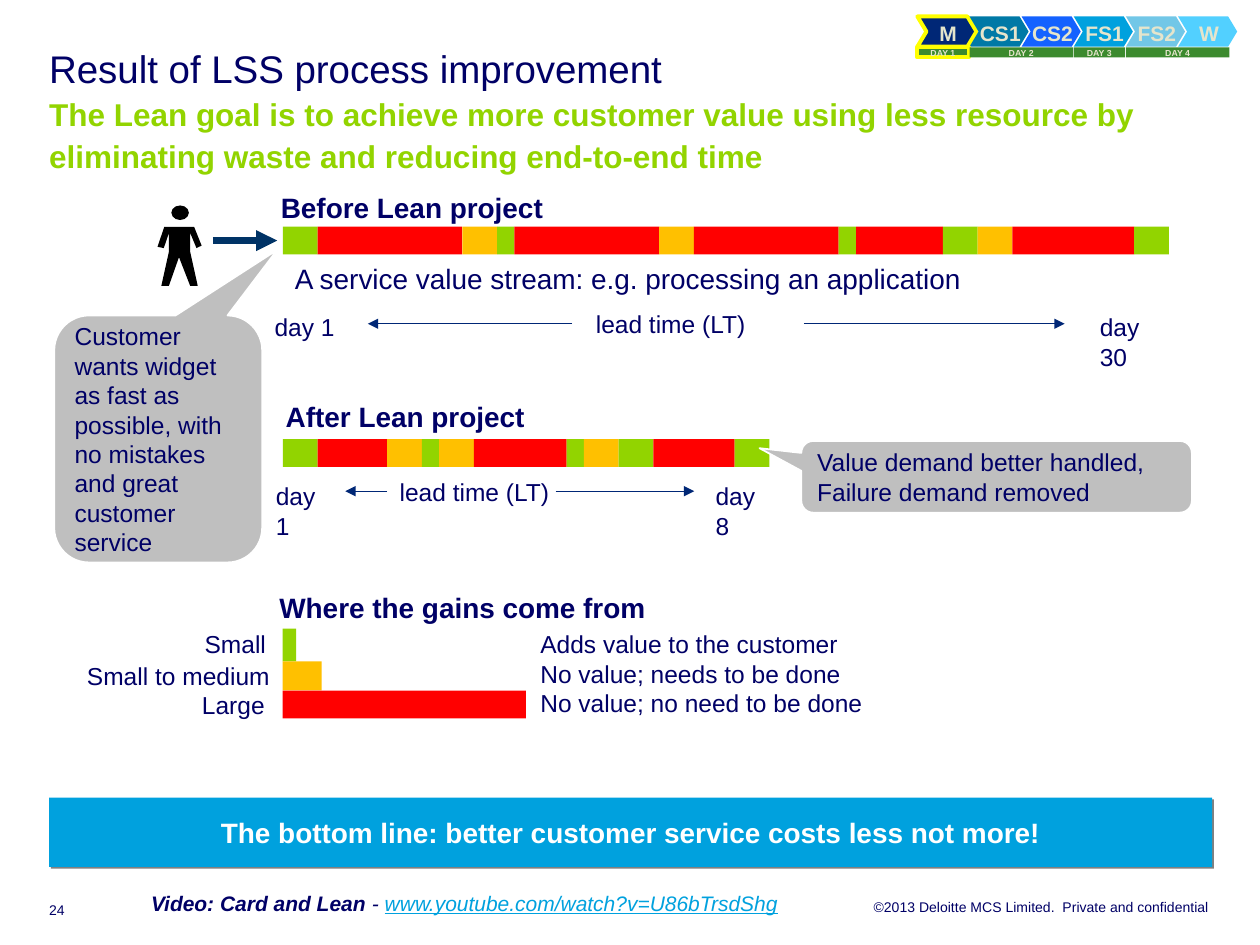
"""Build the slide on the result of an LSS process improvement."""
from lxml import etree
from pptx import Presentation
from pptx import util as u
from pptx.dml.color import RGBColor
from pptx.enum import shapes, text
from pptx.oxml import parse_xml
from pptx.oxml.ns import nsdecls, qn

Pt = u.Pt
SHAPE = shapes.MSO_SHAPE
LEFT, CENTER, RIGHT = text.PP_ALIGN.LEFT, text.PP_ALIGN.CENTER, text.PP_ALIGN.RIGHT
TOP, MIDDLE, BOTTOM = text.MSO_ANCHOR.TOP, text.MSO_ANCHOR.MIDDLE, text.MSO_ANCHOR.BOTTOM
NAVY = RGBColor(0x00, 0x00, 0x66)
DEEP = RGBColor(0x00, 0x27, 0x76)
STEEL = RGBColor(0x00, 0x33, 0x66)
TEAL = RGBColor(0x00, 0x79, 0xA6)
BLUE = RGBColor(0x14, 0x62, 0xFF)
CYAN = RGBColor(0x00, 0xA1, 0xDE)
PALE = RGBColor(0x72, 0xC7, 0xE7)
SKY = RGBColor(0x52, 0xD0, 0xFF)
CREAM = RGBColor(0xE5, 0xE5, 0xCC)
FOREST = RGBColor(0x3C, 0x8A, 0x2E)
LIME = RGBColor(0x92, 0xD4, 0x00)
AMBER = RGBColor(0xFF, 0xC0, 0x00)
RED = RGBColor(0xFF, 0x00, 0x00)
YELLOW = RGBColor(0xFF, 0xFF, 0x00)
GREY = RGBColor(0xBF, 0xBF, 0xBF)
WHITE = RGBColor(0xFF, 0xFF, 0xFF)
BLACK = RGBColor(0x00, 0x00, 0x00)

prs = Presentation()
prs.slide_width, prs.slide_height = Pt(720), Pt(540)
s = prs.slides.add_slide(prs.slide_layouts[6])


def box(words, x, y, w, h, shape=None, adj=(), fill=None, line=None, weight=0.5,
        size=14, color=NAVY, bold=False, align=LEFT, anchor=TOP,
        ins=(7.2, 3.6, 7.2, 3.6), wrap=True, spacing=None):
    place = [Pt(v) for v in (x, y, w, h)]
    if shape is None:
        sp = s.shapes.add_textbox(*place)
    else:
        sp = s.shapes.add_shape(shape, *place)
        sp.shadow.inherit = False
        for i, value in enumerate(adj):
            sp.adjustments[i] = value
        sp.fill.solid()
        sp.fill.fore_color.rgb = fill
        if line is None:
            sp.line.fill.background()
        else:
            sp.line.color.rgb = line
            sp.line.width = Pt(weight)
    if not words:
        return sp
    tf = sp.text_frame
    tf.word_wrap = wrap
    tf.vertical_anchor = anchor
    tf.margin_left, tf.margin_top, tf.margin_right, tf.margin_bottom = map(Pt, ins)
    tf.text = words
    for p in tf.paragraphs:
        p.alignment = align
        p.line_spacing = spacing
        for r in p.runs:
            r.font.name, r.font.size, r.font.bold = "Arial", Pt(size), bold
            r.font.color.rgb = color
    return sp


def arrow(x1, x2, y, color=DEEP, weight=0.5):
    cn = s.shapes.add_connector(shapes.MSO_CONNECTOR.STRAIGHT, Pt(x1), Pt(y), Pt(x2), Pt(y))
    cn.line.color.rgb = color
    cn.line.width = Pt(weight)
    etree.SubElement(cn.line._get_or_add_ln(), qn("a:tailEnd"), type="triangle")
    etree.SubElement(cn._element.spPr, qn("a:effectLst"))
    return cn


box("©2013 Deloitte MCS Limited.  Private and confidential", 244.8, 513.4, 446.2, 10,
    size=8, align=RIGHT, ins=(0, 0, 0, 0))

steps = [("M", DEEP), ("CS1", TEAL), ("CS2", BLUE), ("FS1", CYAN), ("FS2", PALE), ("W", SKY)]
for i, (label, fill) in enumerate(steps):
    box(label, 524.2 + 29.8 * i, 9.4, 33.8, 17.3, SHAPE.CHEVRON, [0.3], fill,
        YELLOW if i == 0 else None, 2.25, size=12, color=CREAM, bold=True, align=CENTER,
        anchor=MIDDLE, ins=(5.8, 4.3, 4.3, 4.3), wrap=False, spacing=1.1)
for i, (start, span) in enumerate([(0, 1), (1, 2), (3, 1), (4, 2)]):
    box(f"DAY {i + 1}", 524.2 + 29.8 * start, 27, 29.8 * span - 0.5, 5.8, SHAPE.RECTANGLE,
        (), FOREST, YELLOW if i == 0 else None, 2.25, size=5, color=CREAM, bold=True,
        align=CENTER, ins=(2.9, 0, 2.9, 0))

box("", 28.1, 107.3, 664.6, 388.8, SHAPE.RECTANGLE, fill=WHITE, line=WHITE, weight=0.75)
sp = box("The bottom line: better customer service costs less not more!", 28.1, 455.8, 664.6, 39.6,
         SHAPE.RECTANGLE, fill=CYAN, size=16, color=WHITE, bold=True, align=CENTER, anchor=MIDDLE)
sp._element.spPr.find(qn("a:effectLst")).append(parse_xml(
    f'<a:outerShdw {nsdecls("a")} dist="17780" dir="2700000" algn="ctr" rotWithShape="0">'
    '<a:srgbClr val="808080"/></a:outerShdw>'))

box("A service value stream: e.g. processing an application", 161.5, 145.8, 506.9, 25.9,
    SHAPE.RECTANGLE, fill=WHITE, line=WHITE, size=16, anchor=MIDDLE)

UNIT = 9.93
streams = [
    (129.5, [(LIME, 2), (RED, 8.33), (AMBER, 2), (LIME, 1), (RED, 8.33), (AMBER, 2), (RED, 8.33),
             (LIME, 1), (RED, 5), (LIME, 2), (AMBER, 2), (RED, 7), (LIME, 2)]),
    (250.9, [(LIME, 2), (RED, 4), (AMBER, 2), (LIME, 1), (AMBER, 2), (RED, 5.33), (LIME, 1),
             (AMBER, 2), (LIME, 2), (RED, 4.67), (LIME, 2)]),
]
for y, segments in streams:
    x = 161.6
    for fill, units in segments:
        box("", x, y, units * UNIT, 16, SHAPE.RECTANGLE, fill=fill)
        x += units * UNIT

for label, x, y, w in [("day 1", 149.8, 175, 52), ("day 30", 621.4, 175, 50),
                       ("day 1", 150.5, 271.4, 46), ("day 8", 401.8, 271.4, 46)]:
    box(label, x, y, w, 23.8)
box("lead time (LT)", 333.4, 172.8, 102, 23.8)
arrow(459.4, 608.4, 185)
arrow(326.9, 210.2, 185)
sp = box("lead time (LT)", 221.3, 268.8, 102, 23.8)
arrow(221.3, 197.3, 280.7).begin_connect(sp, 1)
arrow(317.5, 396.7, 280.7)

for label, x, y, w in [("Before Lean project", 153.4, 105.1, 169),
                       ("After Lean project", 156.2, 224.6, 156),
                       ("Where the gains come from", 152.6, 334.1, 225)]:
    box(label, x, y, w, 26.6, size=16, bold=True)

gains = [("Small", 159.1, 355.7, "Adds value to the customer", LIME, 359.3, 7.7, 18.7),
         ("Small to medium", 161.3, 374.4, "No value; needs to be done", AMBER, 378, 22.3, 16.6),
         ("Large", 158.4, 390.6, "No value; no need to be done", RED, 394.6, 139, 16)]
for i, (label, right, top, meaning, fill, y, w, h) in enumerate(gains):
    box(label, right - 120, top, 120, 23.8, align=RIGHT)
    box(meaning, 301.7, 359.3 + 16.9 * i, 206.6, 17.3, SHAPE.RECTANGLE, fill=WHITE,
        line=WHITE, anchor=MIDDLE)
    box("", 161.5, y, w, h, SHAPE.RECTANGLE, fill=fill)

CALLOUT = SHAPE.ROUNDED_RECTANGULAR_CALLOUT
box("Customer wants widget as fast as possible, with no mistakes and great customer service",
    31, 180.3, 118.8, 141.1, CALLOUT, (0.573, -0.766, 0.167), GREY, WHITE, 1, anchor=MIDDLE,
    ins=(5.8, 3.6, 5.8, 3.6))
box("Value demand better handled,\nFailure demand removed", 457.9, 252, 223.2, 41,
    CALLOUT, (-0.607, -0.399, 0.167), GREY, WHITE, 1, anchor=MIDDLE)

box("", 97.9, 117.4, 10, 8.3, SHAPE.OVAL, fill=BLACK)
body = [(102.3, 147), (108.7, 163.4), (113, 163.4), (108.7, 144), (108.7, 133.2), (112.3, 141.8),
        (115.2, 140.4), (110.9, 129.6), (93.9, 129.6), (90, 141.1), (93.6, 141.8), (96.5, 133.2),
        (96.5, 144), (92.2, 163.4), (96.5, 163.4)]
fb = s.shapes.build_freeform(Pt(body[0][0]), Pt(body[0][1]), scale=1.0)
fb.add_line_segments([(Pt(x), Pt(y)) for x, y in body[1:]], close=True)
sp = fb.convert_to_shape()
sp.shadow.inherit = False
sp.fill.solid()
sp.fill.fore_color.rgb = BLACK
sp.line.fill.background()
arrow(121.7, 158.4, 137.5, STEEL, 4)

sp = box("Result of LSS process improvement\nThe Lean goal is to achieve more customer value using "
         "less resource by eliminating waste and reducing end-to-end time",
         28.1, 28.1, 677.5, 49, size=22, ins=(0, 0, 0, 0), spacing=Pt(24))
r = sp.text_frame.paragraphs[1].runs[0]
r.font.size, r.font.bold = Pt(18), True
r.font.color.rgb = LIME

box("24", 28.1, 515.5, 28.1, 9.4, size=8, anchor=BOTTOM, ins=(0, 0, 0, 0))
sp = box("Video: Card and Lean ", 79.2, 505.4, 416.2, 21.6, size=12, bold=True)
p = sp.text_frame.paragraphs[0]
p.runs[0].font.italic = True
for words, color, underline in [("- ", NAVY, False),
                                ("www.youtube.com/watch?v=U86bTrsdShg", CYAN, True)]:
    r = p.add_run()
    r.text = words
    r.font.name, r.font.size, r.font.italic = "Arial", Pt(12), True
    r.font.underline = underline
    r.font.color.rgb = color

prs.save("out.pptx")
